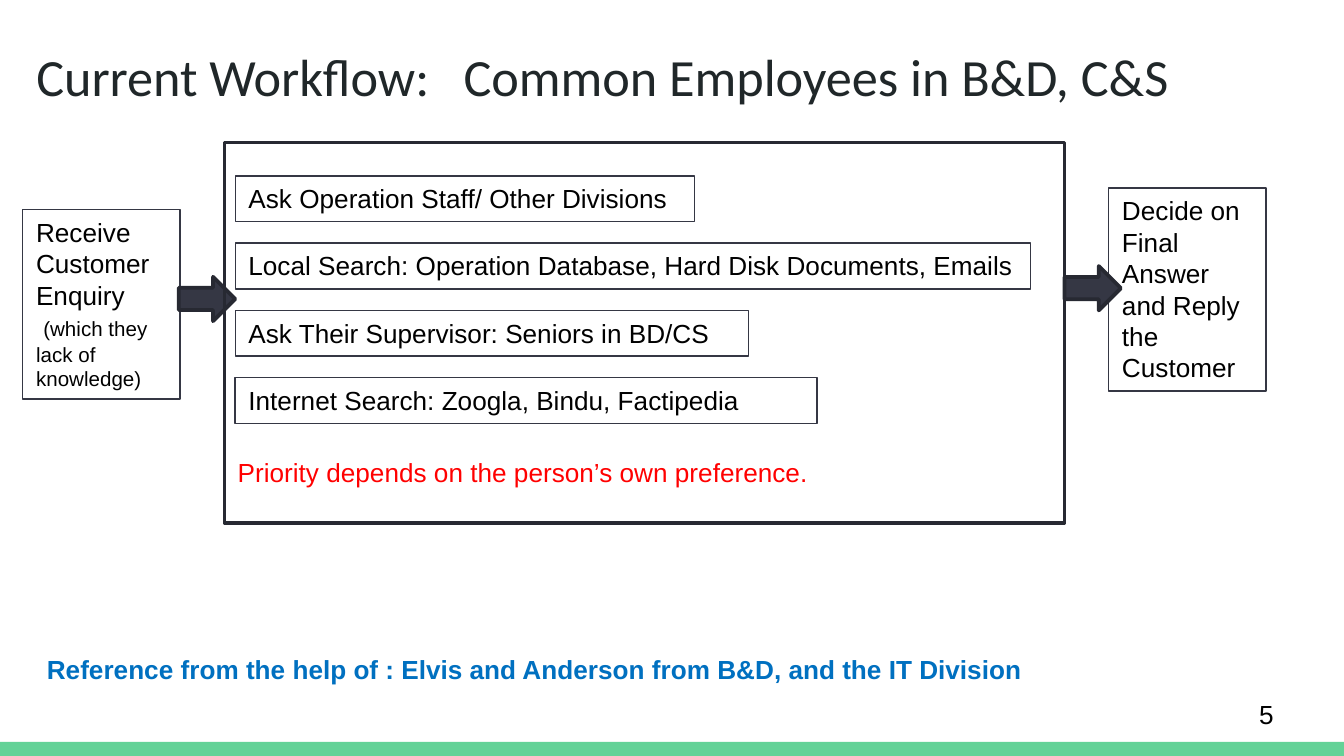
from lxml import etree
from pptx import Presentation
from pptx.dml.color import RGBColor
from pptx.enum.shapes import MSO_SHAPE
from pptx.enum.text import MSO_ANCHOR, MSO_AUTO_SIZE, PP_ALIGN
from pptx.oxml.ns import qn
from pptx.util import Inches, Pt

RECTANGLE, RIGHT_ARROW = MSO_SHAPE.RECTANGLE, MSO_SHAPE.RIGHT_ARROW
TOP, MIDDLE, LEFT = MSO_ANCHOR.TOP, MSO_ANCHOR.MIDDLE, PP_ALIGN.LEFT
NO_FIT, GROW = MSO_AUTO_SIZE.NONE, MSO_AUTO_SIZE.SHAPE_TO_FIT_TEXT

BLACK = RGBColor(0x00, 0x00, 0x00)
RED = RGBColor(0xFF, 0x00, 0x00)
BLUE = RGBColor(0x00, 0x70, 0xC0)
GREEN = RGBColor(0x63, 0xD2, 0x97)
TITLE_COLOR = RGBColor(0x20, 0x27, 0x29)
SLATE = RGBColor(0x35, 0x37, 0x44)
DARK_SLATE = RGBColor(0x27, 0x29, 0x32)

TITLE = "Current Workflow:\tCommon Employees in B&D, C&S"
ENQUIRY = [
    [("Receive Customer", 14)],
    [("Enquiry", 14)],
    [(" ", 14), ("(which they lack of knowledge)", 11)],
]
SEARCH_STEPS = [
    ("Ask Operation Staff/ Other Divisions", 3.42),
    ("Local Search: Operation Database, Hard Disk Documents, Emails", 5.92),
    ("Ask Their Supervisor: Seniors in BD/CS", 3.82),
    ("Internet Search: Zoogla, Bindu, Factipedia", 4.33),
]
ANSWER = [
    [("Decide on", 14)],
    [("Final Answer and Reply", 14)],
    [("the Customer", 14)],
]
PRIORITY = [[("Priority depends on the person’s own preference.", 14)]]
REFERENCE = [[("Reference from the help of : Elvis and Anderson from B&D, and the IT Division", 14)]]
PAGE_NUMBER = [[("5", 14)]]

STEP_LEFT, STEP_TOP, STEP_PITCH, LINE_HEIGHT = 1.75, 1.31, 0.5, 0.34
ARROWS = [(1.33, 2.06), (7.92, 1.98)]


def set_margins(text_frame, margin):
    text_frame.margin_left = text_frame.margin_right = Inches(margin)
    text_frame.margin_top = text_frame.margin_bottom = Inches(margin)


def write(shape, paragraphs, color=BLACK, bold=False, wrap=True):
    text_frame = shape.text_frame
    text_frame.word_wrap = wrap
    text_frame.auto_size = GROW
    text_frame.vertical_anchor = TOP
    for index, runs in enumerate(paragraphs):
        paragraph = text_frame.add_paragraph() if index else text_frame.paragraphs[0]
        paragraph.alignment = LEFT
        for text, size in runs:
            run = paragraph.add_run()
            run.text = text
            run.font.name = "Arial"
            run.font.size = Pt(size)
            run.font.bold = bold
            run.font.color.rgb = color


def add_shape(slide, kind, box, fill=None, line=None, width=0.75):
    shape = slide.shapes.add_shape(kind, *map(Inches, box))
    shape.shadow.inherit = False
    if fill is None:
        shape.fill.background()
    else:
        shape.fill.solid()
        shape.fill.fore_color.rgb = fill
    if line is None:
        shape.line.fill.background()
    else:
        shape.line.color.rgb = line
        shape.line.width = Pt(width)
    return shape


def add_text(slide, box, paragraphs, **style):
    text_box = slide.shapes.add_textbox(*map(Inches, box))
    write(text_box, paragraphs, **style)
    return text_box


def add_title(slide):
    title = slide.shapes.title
    title.left, title.top, title.width, title.height = map(Inches, (0.17, 0.23, 9.32, 0.63))
    text_frame = title.text_frame
    text_frame.text = TITLE
    text_frame.auto_size = NO_FIT
    text_frame.vertical_anchor = TOP
    set_margins(text_frame, 0.1)
    paragraph = text_frame.paragraphs[0]
    paragraph.alignment = LEFT
    font = paragraph.runs[0].font
    font.name, font.size = "Calibri", Pt(28)
    font.color.rgb = TITLE_COLOR
    tabs = etree.SubElement(paragraph._p.get_or_add_pPr(), qn("a:tabLst"))
    etree.SubElement(tabs, qn("a:tab"), pos=str(Inches(3.18)), algn="l")


def main():
    presentation = Presentation()
    presentation.slide_width = Inches(10)
    presentation.slide_height = presentation.slide_width * 9 // 16
    slide = presentation.slides.add_slide(presentation.slide_layouts[5])

    add_shape(slide, RECTANGLE, (0, 5.52, 10, 0.11), fill=GREEN)
    add_title(slide)
    page_number = add_text(slide, (9.27, 5.1, 0.6, 0.43), PAGE_NUMBER)
    page_number.text_frame.auto_size = NO_FIT
    page_number.text_frame.vertical_anchor = MIDDLE
    set_margins(page_number.text_frame, 0.1)

    boxes = [((0.17, 1.56, 1.17, 1.41), ENQUIRY)]
    for index, (text, width) in enumerate(SEARCH_STEPS):
        top = STEP_TOP + index * STEP_PITCH
        boxes.append(((STEP_LEFT, top, width, LINE_HEIGHT), [[(text, 14)]]))
    boxes.append(((8.25, 1.4, 1.17, 1.51), ANSWER))
    for box, paragraphs in boxes:
        write(add_shape(slide, RECTANGLE, box, line=SLATE), paragraphs)

    for left, top in ARROWS:
        add_shape(slide, RIGHT_ARROW, (left, top, 0.42, 0.33), SLATE, DARK_SLATE, 2)
    add_shape(slide, RECTANGLE, (1.67, 1.06, 6.25, 2.83), line=DARK_SLATE, width=2)

    add_text(slide, (1.67, 3.35, 4.52, LINE_HEIGHT), PRIORITY, color=RED, wrap=False)
    add_text(slide, (0.25, 4.81, 8.92, LINE_HEIGHT), REFERENCE, color=BLUE, bold=True)
    presentation.save("out.pptx")


if __name__ == "__main__":
    main()
